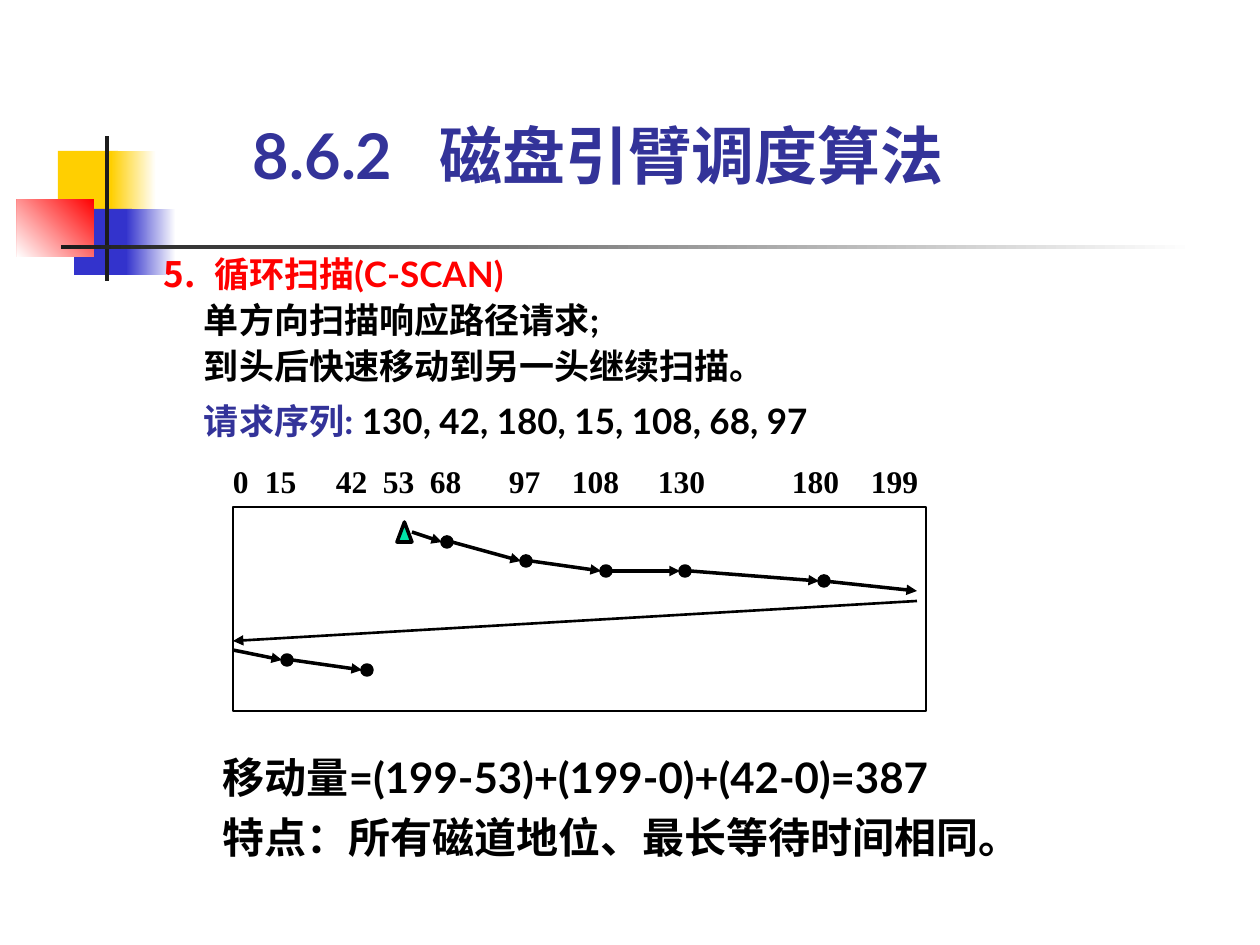
from dataclasses import dataclass
from itertools import pairwise

from pptx import Presentation
from pptx.dml.color import RGBColor
from pptx.enum.shapes import MSO_CONNECTOR as Connector, MSO_SHAPE as Shape
from pptx.enum.text import MSO_ANCHOR as Anchor, MSO_AUTO_SIZE as AutoSize
from pptx.oxml.ns import qn
from pptx.util import Pt
from lxml.etree import SubElement

PX = 914400 / 126


@dataclass(frozen=True)
class Theme:
    """Colours, fonts and type sizes of the slide."""
    black: str = "000000"
    white: str = "FFFFFF"
    ink: str = "1C1C1C"
    yellow: str = "FFCF01"
    blue: str = "3333CC"
    red: str = "FF0000"
    navy: str = "333399"
    green: str = "00E4A8"
    sans: str = "Lato"
    serif: str = "Times New Roman"
    title: int = 36
    summary: int = 24
    body: int = 20
    label: int = 18


THEME = Theme()


def emu(pixels):
    """Turn a pixel length into EMU."""
    return round(pixels * PX)


def rgb(colour):
    """Turn a hex colour into an RGBColor."""
    return RGBColor.from_string(colour)


def add_figure(slide, kind, box, fill=None, line=None, width=2):
    """Add a preset shape with an optional plain fill and outline."""
    shape = slide.shapes.add_shape(kind, *map(emu, box))
    shape.shadow.inherit = False
    if fill:
        shape.fill.solid()
        shape.fill.fore_color.rgb = rgb(fill)
    else:
        shape.fill.background()
    if line:
        shape.line.color.rgb = rgb(line)
        shape.line.width = Pt(width)
    else:
        shape.line.fill.background()
    return shape


def add_fade(slide, box, start, end, angle=180):
    """Add a rectangle that fades from one colour to another."""
    fill = add_figure(slide, Shape.RECTANGLE, box).fill
    fill.gradient()
    fill.gradient_angle = angle
    for stop, colour in zip(fill.gradient_stops, (start, end)):
        stop.color.rgb = rgb(colour)


def add_arrow(slide, start, end, width=2):
    """Add a straight black arrow between two points."""
    connector = slide.shapes.add_connector(
        Connector.STRAIGHT, *map(emu, (*start, *end)))
    connector.line.color.rgb = rgb(THEME.black)
    connector.line.width = Pt(width)
    SubElement(connector.line._get_or_add_ln(), qn("a:tailEnd"), type="triangle")
    SubElement(connector._element.spPr, qn("a:effectLst"))


def add_frame(slide, box, anchor=Anchor.TOP):
    """Add a text box without margins and return its text frame."""
    frame = slide.shapes.add_textbox(*map(emu, box)).text_frame
    frame.word_wrap = True
    frame.auto_size = AutoSize.SHAPE_TO_FIT_TEXT
    frame.vertical_anchor = anchor
    frame.margin_left = frame.margin_right = 0
    frame.margin_top = frame.margin_bottom = 0
    return frame


def add_run(paragraph, text, size, colour=THEME.black, font=THEME.sans):
    """Add one bold run to a paragraph."""
    run = paragraph.add_run()
    run.text = text
    run.font.size = Pt(size)
    run.font.name = font
    run.font.bold = True
    run.font.color.rgb = rgb(colour)


def set_tabs(paragraph, stops):
    """Give a paragraph left tab stops at pixel offsets."""
    tab_list = SubElement(paragraph._p.get_or_add_pPr(), qn("a:tabLst"))
    for stop in stops:
        SubElement(tab_list, qn("a:tab"), pos=str(emu(stop)), algn="l")


def set_indent(paragraph, margin, indent=0):
    """Set the left margin and first line indent of a paragraph."""
    properties = paragraph._p.get_or_add_pPr()
    properties.set("marL", str(emu(margin)))
    properties.set("indent", str(emu(indent)))
    return properties


def add_ornament(slide, left, top):
    """Draw the coloured squares and the two crossing rules."""
    def place(x, y, width, height):
        return left + x, top + y, width, height

    add_figure(slide, Shape.RECTANGLE, place(41, 15, 60, 66), THEME.yellow)
    add_fade(slide, place(94, 15, 45, 66), THEME.white, THEME.yellow)
    add_figure(slide, Shape.RECTANGLE, place(57, 73, 58, 66), THEME.blue)
    add_fade(slide, place(109, 73, 50, 66), THEME.white, THEME.blue)
    add_fade(slide, place(0, 63, 77, 58), THEME.red, THEME.white, 225)
    add_figure(slide, Shape.RECTANGLE, place(88, 0, 4, 145), THEME.ink)
    add_fade(slide, place(44, 109, 1134, 4), THEME.white, THEME.ink)


def add_title(slide, box):
    """Write the section number and the title."""
    paragraph = add_frame(slide, box, Anchor.BOTTOM).paragraphs[0]
    set_tabs(paragraph, [186])
    add_run(paragraph, "8.6.2\t磁盘引臂调度算法", THEME.title, THEME.navy)


def add_explanation(slide, box):
    """Write the numbered heading and the indented lines below it."""
    frame = add_frame(slide, box)
    heading = frame.paragraphs[0]
    properties = set_indent(heading, 50, -50)
    bullet_colour = SubElement(properties, qn("a:buClr"))
    SubElement(bullet_colour, qn("a:srgbClr"), val=THEME.red)
    SubElement(properties, qn("a:buAutoNum"), type="arabicPeriod", startAt="5")
    add_run(heading, "循环扫描(C-SCAN)", THEME.body, THEME.red)
    lines = [
        [("单方向扫描响应路径请求;", THEME.black)],
        [("到头后快速移动到另一头继续扫描。", THEME.black)],
        [("请求序列: ", THEME.navy),
         ("130, 42, 180, 15, 108, 68, 97", THEME.black)],
    ]
    for line in lines:
        paragraph = frame.add_paragraph()
        set_indent(paragraph, 40)
        for text, colour in line:
            add_run(paragraph, text, THEME.body, colour)
    for paragraph in frame.paragraphs:
        paragraph.line_spacing = 1.1
    frame.paragraphs[-1].space_before = Pt(5)


def add_track_labels(slide, box):
    """Write the track numbers at their tab stops."""
    tracks = {0: 0, 15: 32, 42: 103, 53: 150, 68: 197, 97: 276,
              108: 339, 130: 425, 180: 559, 199: 638}
    paragraph = add_frame(slide, box).paragraphs[0]
    set_tabs(paragraph, list(tracks.values())[1:])
    add_run(paragraph, "\t".join(map(str, tracks)), THEME.label, font=THEME.serif)


def add_head_path(slide, box):
    """Draw the path of the disk head inside its frame."""
    left, top, *_ = box
    radius = 5

    def place(x, y):
        return left + x, top + y

    def add_sweep(start, stops):
        for x, y in stops:
            add_figure(slide, Shape.OVAL,
                       (*place(x - radius, y - radius), 2 * radius, 2 * radius),
                       THEME.black, THEME.black)
        add_arrow(slide, place(*start), place(stops[0][0] - radius, stops[0][1]))
        for (x1, y1), (x2, y2) in pairwise(stops):
            add_arrow(slide, place(x1 + radius, y1), place(x2 - radius, y2))

    add_figure(slide, Shape.RECTANGLE, box, line=THEME.black, width=0.75)
    add_figure(slide, Shape.ISOSCELES_TRIANGLE, (*place(164, 15), 15, 20),
               THEME.green, THEME.black)
    add_sweep((179, 25), [(214, 35), (293, 54), (373, 64), (452, 64), (591, 74)])
    add_arrow(slide, place(591, 74), place(684, 84))
    add_arrow(slide, place(684, 94), place(0, 134), 1.5)
    add_sweep((0, 143), [(54, 153), (134, 163)])


def add_summary(slide, box):
    """Write the total movement and the main property."""
    frame = add_frame(slide, box)
    texts = ["移动量=(199-53)+(199-0)+(42-0)=387",
             "特点：所有磁道地位、最长等待时间相同。"]
    for paragraph, text in zip((frame.paragraphs[0], frame.add_paragraph()), texts):
        paragraph.line_spacing = 1.2
        add_run(paragraph, text, THEME.summary)


def main():
    """Build the slide and save it."""
    presentation = Presentation()
    presentation.slide_width = emu(1260)
    presentation.slide_height = emu(945)
    slide = presentation.slides.add_slide(presentation.slide_layouts[6])
    add_ornament(slide, 17, 136)
    add_explanation(slide, (164, 248, 814, 194))
    add_summary(slide, (223, 741, 833, 121))
    add_track_labels(slide, (233, 462, 693, 38))
    add_title(slide, (253, 116, 725, 76))
    add_head_path(slide, (233, 507, 693, 204))
    presentation.save("out.pptx")


if __name__ == "__main__":
    main()
